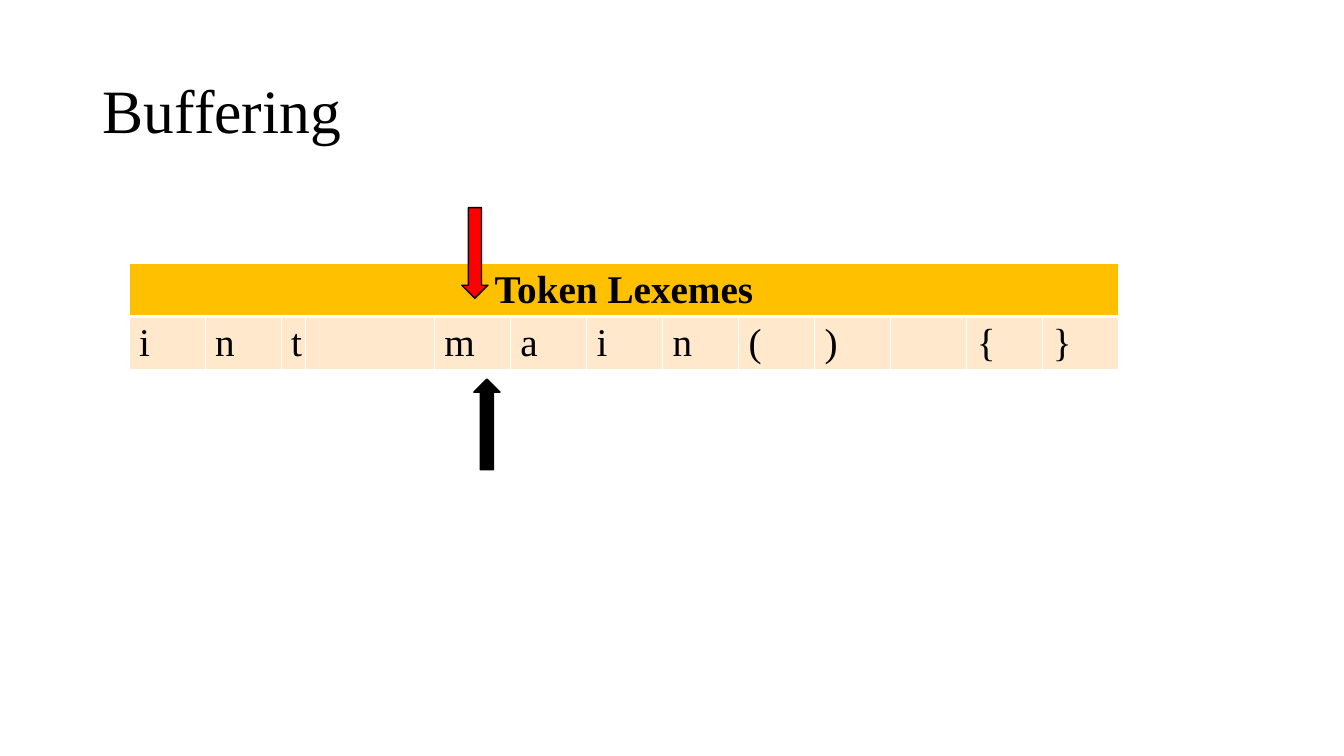
"""Build the Buffering slide: a token table with two buffer pointers."""
import pptx
import pptx.dml.color
import pptx.enum.shapes
import pptx.enum.text
import pptx.oxml
import pptx.oxml.ns
import pptx.util

Inches = pptx.util.Inches
ALIGN = pptx.enum.text.PP_ALIGN


def color(value):
    return pptx.dml.color.RGBColor.from_string(value)


def write(frame, text, size=28, bold=False, align=ALIGN.LEFT, spacing=1.0):
    paragraph = frame.paragraphs[0]
    paragraph.alignment = align
    paragraph.line_spacing = spacing
    run = paragraph.add_run()
    run.text = text
    run.font.name = "Times New Roman"
    run.font.size = pptx.util.Pt(size)
    run.font.bold = bold
    run.font.color.rgb = color("000000")


deck = pptx.Presentation()
deck.slide_width, deck.slide_height = Inches(13.33), Inches(7.5)
slide = deck.slides.add_slide(deck.slide_layouts[5])

heading = slide.shapes.title
heading.left, heading.top = Inches(0.92), Inches(0.4)
heading.width, heading.height = Inches(11.5), Inches(1.45)
heading.text_frame.vertical_anchor = pptx.enum.text.MSO_ANCHOR.MIDDLE
write(heading.text_frame, "Buffering", size=44, spacing=0.9)

characters = "int main() {}"
buffer_width, t_width, gap_width = 9.81, 0.23, 1.28
usual_width = (buffer_width - t_width - gap_width) / (len(characters) - 2)
special_widths = {2: t_width, 3: gap_width}

buffer = slide.shapes.add_table(
    2, len(characters), Inches(1.28), Inches(2.61), Inches(buffer_width), Inches(0.82)
).table
for index in range(len(characters)):
    buffer.columns[index].width = Inches(special_widths.get(index, usual_width))

for row, fill in enumerate(["FFC000", "FFE8CC"]):
    for column, character in enumerate(characters):
        cell = buffer.cell(row, column)
        properties = cell._tc.get_or_add_tcPr()
        for side in "LRTB":
            weight = 3 if (row, side) in [(0, "B"), (1, "T")] else 1
            properties.append(pptx.oxml.parse_xml(
                f'<a:ln{side} {pptx.oxml.ns.nsdecls("a")} w="{pptx.util.Pt(weight)}">'
                f'<a:solidFill><a:srgbClr val="FFFFFF"/></a:solidFill></a:ln{side}>'
            ))
        cell.fill.solid()
        cell.fill.fore_color.rgb = color(fill)
        if row == 1 and character != " ":
            write(cell.text_frame, character)

buffer.cell(0, 0).merge(buffer.cell(0, len(characters) - 1))
write(buffer.cell(0, 0).text_frame, "Token Lexemes", bold=True, align=ALIGN.CENTER)

for left, top, rotation, fill in [(4.38, 4.08, 270, "000000"), (4.26, 2.38, 90, "FF0000")]:
    pointer = slide.shapes.add_shape(
        pptx.enum.shapes.MSO_SHAPE.RIGHT_ARROW,
        Inches(left), Inches(top), Inches(0.9), Inches(0.26),
    )
    pointer.rotation = rotation
    pointer.shadow.inherit = False
    pointer.fill.solid()
    pointer.fill.fore_color.rgb = color(fill)
    pointer.line.color.rgb = color("000000")
    pointer.line.width = pptx.util.Pt(1)

deck.save("out.pptx")
